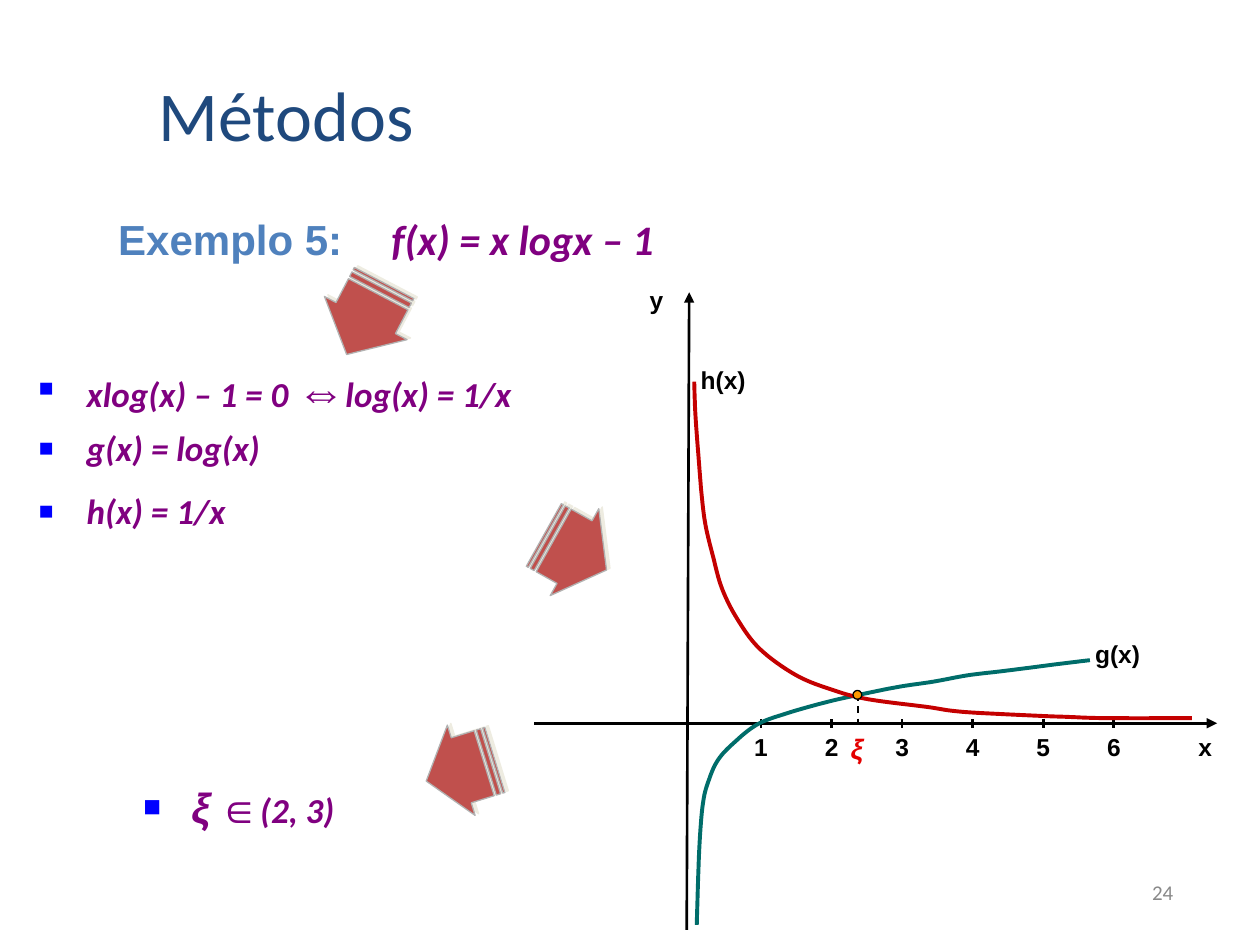
from dataclasses import dataclass

import pptx
import pptx.dml.color
import pptx.enum.dml
import pptx.enum.shapes
import pptx.enum.text
import pptx.oxml
import pptx.oxml.ns
import pptx.util

ALIGN = pptx.enum.text.PP_ALIGN
ANCHOR = pptx.enum.text.MSO_ANCHOR
BLACK, PURPLE, BULLET_BLUE = "000000", "800080", "0000FF"

# The slide is a grid of 100 columns by 75 rows of square cells.
COLUMNS, ROWS = 100, 75
SLIDE_WIDTH = pptx.util.Inches(10)
AXIS_ROW = 57.4
TICK_START, TICK_STEP, TICK_COUNT = 60.4, 5.6, 6


@dataclass
class Run:
    text: str
    size: float = 20
    font: str = "Calibri"
    color: str = PURPLE
    bold: bool = True
    italic: bool = True


@dataclass
class Paragraph:
    runs: list
    before: float = 0
    bullet: bool = False
    spacing: float | None = None
    indent: float = 0
    tab: float = 0
    align: ALIGN = ALIGN.LEFT


@dataclass
class BlockArrow:
    left: float
    top: float
    width: float
    height: float
    rotation: float
    mirrored: bool = False


def cells(count: float) -> int:
    return round(count * SLIDE_WIDTH / COLUMNS)


def color(value: str) -> pptx.dml.color.RGBColor:
    return pptx.dml.color.RGBColor.from_string(value)


def add_xml(parent, markup: str) -> None:
    name, rest = markup[1:].split(" ", 1)
    declaration = pptx.oxml.ns.nsdecls("a")
    parent.append(pptx.oxml.parse_xml(f"<{name} {declaration} {rest}"))


def add_text(page, frame: tuple, paragraphs: list, *, margins=(1, 0.5), anchor=ANCHOR.TOP):
    box = page.shapes.add_textbox(*map(cells, frame))
    body = box.text_frame
    body.word_wrap = True
    body.vertical_anchor = anchor
    body.margin_left = body.margin_right = cells(margins[0])
    body.margin_top = body.margin_bottom = cells(margins[1])
    for index, item in enumerate(paragraphs):
        para = body.paragraphs[0] if index == 0 else body.add_paragraph()
        properties = para._p.get_or_add_pPr()
        if item.indent:
            properties.set("marL", str(cells(item.indent)))
            properties.set("indent", str(-cells(item.indent)))
        if item.bullet:
            add_xml(properties, f'<a:buClr ><a:srgbClr val="{BULLET_BLUE}"/></a:buClr>')
            add_xml(properties, '<a:buSzPct val="70000"/>')
            add_xml(properties, '<a:buFont typeface="Arial"/>')
            add_xml(properties, '<a:buChar char="■"/>')
        if item.tab:
            add_xml(properties, f'<a:tabLst ><a:tab pos="{cells(item.tab)}" algn="l"/></a:tabLst>')
        para.alignment = item.align
        para.space_before = pptx.util.Pt(item.before)
        if item.spacing:
            para.line_spacing = item.spacing
        for piece in item.runs:
            span = para.add_run()
            span.text = piece.text
            span.font.size = pptx.util.Pt(piece.size)
            span.font.name = piece.font
            span.font.bold, span.font.italic = piece.bold, piece.italic
            span.font.color.rgb = color(piece.color)
    return box


def add_label(page, center: float, top: float, text: str, *, width=4.8, size=14,
              fill=BLACK, italic=False) -> None:
    run = Run(text, size, "Arial", fill, italic=italic)
    add_text(page, (center - width / 2, top, width, 2.4),
             [Paragraph([run], align=ALIGN.CENTER)], margins=(0, 0))


def add_line(page, start: tuple, end: tuple, *, width=1.5, arrow=False, dashed=False) -> None:
    line = page.shapes.add_connector(
        pptx.enum.shapes.MSO_CONNECTOR.STRAIGHT, *map(cells, start + end))
    line.line.color.rgb = color(BLACK)
    line.line.width = pptx.util.Pt(width)
    if dashed:
        line.line.dash_style = pptx.enum.dml.MSO_LINE.DASH
    if arrow:
        add_xml(line.line._get_or_add_ln(), '<a:headEnd type="triangle"/>')
    add_xml(line._element.spPr, "<a:effectLst />")


def style(shape, outline: str, width: float, fill: str | None = None) -> None:
    shape.shadow.inherit = False
    shape.line.color.rgb = color(outline)
    shape.line.width = pptx.util.Pt(width)
    if fill:
        shape.fill.solid()
        shape.fill.fore_color.rgb = color(fill)
    else:
        shape.fill.background()


def smooth_points(knots: list, steps: int = 8) -> list:
    """Catmull-Rom spline through the knots."""
    padded = [knots[0], *knots, knots[-1]]
    points = [knots[0]]
    for a, b, c, d in zip(padded, padded[1:], padded[2:], padded[3:]):
        for step in range(1, steps + 1):
            t = step / steps
            points.append(tuple(
                q + t * (r - p) / 2 + t**2 * (2 * p - 5 * q + 4 * r - s) / 2
                + t**3 * (3 * q - p - 3 * r + s) / 2
                for p, q, r, s in zip(a, b, c, d)))
    return points


def add_curve(page, knots: list, outline: str) -> None:
    points = [(cells(x), cells(y)) for x, y in smooth_points(knots)]
    builder = page.shapes.build_freeform(*points[0])
    builder.add_line_segments(points[1:], close=False)
    style(builder.convert_to_shape(), outline, 2.25)


def add_block_arrow(page, arrow: BlockArrow) -> None:
    # Outlines as shares of the arrow's own width and height
    low, high, neck = 0.14, 0.86, 0.49
    head = [(neck, 0), (neck, low), (5 / 32, low), (5 / 32, high),
            (neck, high), (neck, 1), (1, 0.5)]
    stripes = [[(a / 32, low), (a / 32, high), (b / 32, high), (b / 32, low)]
               for a, b in ((2, 4), (0, 1))]

    def place(point: tuple) -> tuple:
        share = 1 - point[0] if arrow.mirrored else point[0]
        return (cells(arrow.left + share * arrow.width),
                cells(arrow.top + point[1] * arrow.height))

    builder = page.shapes.build_freeform(*place(head[0]))
    builder.add_line_segments([place(point) for point in head[1:]])
    for stripe in stripes:
        builder.move_to(*place(stripe[0]))
        builder.add_line_segments([place(point) for point in stripe[1:]])
    shape = builder.convert_to_shape()
    shape.rotation = arrow.rotation
    style(shape, "B2B2B2", 0.75, "C0504D")
    effects = shape._element.spPr.find(pptx.oxml.ns.qn("a:effectLst"))
    add_xml(effects, '<a:outerShdw dist="27940" dir="20040000" rotWithShape="0">'
                     '<a:srgbClr val="EEECE1"/></a:outerShdw>')


def main() -> None:
    deck = pptx.Presentation()
    deck.slide_width, deck.slide_height = SLIDE_WIDTH, cells(ROWS)
    page = deck.slides.add_slide(deck.slide_layouts[6])

    # Page number, title and example heading
    add_text(page, (73.3, 68.3, 20.8, 5), anchor=ANCHOR.MIDDLE, paragraphs=[Paragraph(
        [Run("24", 12, color="898989", bold=False, italic=False)], align=ALIGN.RIGHT)])
    add_text(page, (11.6, 5.8, 85.2, 7), anchor=ANCHOR.BOTTOM, paragraphs=[Paragraph(
        [Run("Métodos", 40, color="1F497D", bold=False, italic=False)])])
    add_text(page, (8.4, 17.2, 84.3, 5.4), [Paragraph(
        [Run("Exemplo 5:", 24, "Arial", "4F81BD", italic=False),
         Run("\t ", 20, "Arial", BLACK, italic=False),
         Run("f(x) = x logx – 1", 24)], spacing=0.8, indent=5.9, tab=20)])

    # Derivation and conclusion
    bullets = dict(bullet=True, indent=3.8, align=ALIGN.JUSTIFY)
    add_text(page, (2.1, 28, 49.9, 14.3), [
        Paragraph([Run("xlog(x) – 1 = 0 "), Run("⇔", 28, "Arial"),
                   Run("log(x) = 1/x")], **bullets),
        Paragraph([Run("g(x) = log(x)")], before=5, **bullets),
        Paragraph([Run("h(x) = 1/x")], before=12, **bullets)])
    add_text(page, (10.4, 61.5, 20.9, 5.7), [Paragraph(
        [Run("ξ", 24, "Arial"), Run(" "), Run("∈", 24, "Arial", italic=False),
         Run("(2, 3)")], **bullets)])

    # Block arrows between the steps
    for arrow in (BlockArrow(42.8, 39.9, 5.7, 7.9, 29.2),
                  BlockArrow(25.8, 21.6, 6.4, 7.4, 297.6, mirrored=True),
                  BlockArrow(33.7, 57.4, 5.7, 7.5, 162.9)):
        add_block_arrow(page, arrow)

    # Axes, ticks and labels
    add_line(page, (54.7, 23.2), (54.5, 73.8), arrow=True)
    add_line(page, (96.6, AXIS_ROW), (42.4, AXIS_ROW), arrow=True)
    for index in range(TICK_COUNT):
        column = TICK_START + index * TICK_STEP
        add_line(page, (column, 57.1), (column, 57.8))
        add_label(page, column, 58.1, str(index + 1), width=3)
    add_label(page, 95.65, 58.1, "x", width=2.5)
    add_label(page, 52.1, 22.6, "y", width=2.8)
    add_label(page, 57.4, 29, "h(x)")
    add_label(page, 88.7, 50.7, "g(x)")
    add_label(page, 68, 58.1, "ξ", width=2.4, size=16, fill="E40000", italic=True)

    # Curves g(x) and h(x), with their crossing point
    add_curve(page, [
        (55.3, 73.4), (55.5, 67.4), (55.8, 63.7), (56.3, 61.8), (57, 60.3), (58.2, 59),
        (60.1, 57.5), (62.5, 56.6), (65.7, 55.7), (68.4, 55.1), (71.4, 54.5), (74.1, 54.1),
        (76.8, 53.6), (79.3, 53.3), (81.7, 53), (84, 52.7), (86.5, 52.4)], "006D6A")
    add_line(page, (68.1, 55.1), (68.1, 57.6), width=1, dashed=True)
    add_curve(page, [
        (94.6, 57), (87.8, 57), (84.7, 56.9), (82.1, 56.8), (76.4, 56.5), (73.5, 56.1),
        (68.9, 55.5), (66.2, 54.8), (63.2, 53.6), (60.3, 51.5), (58.5, 49.1), (57.3, 46.7),
        (56.6, 44.2), (56, 41.7), (55.7, 39.4), (55.5, 37), (55.2, 33), (55.1, 30.3)], "C40000")
    root = page.shapes.add_shape(
        pptx.enum.shapes.MSO_SHAPE.OVAL, *map(cells, (67.7, 54.8, 0.7, 0.7)))
    style(root, BLACK, 0.75, "FF9900")

    deck.save("out.pptx")


if __name__ == "__main__":
    main()
